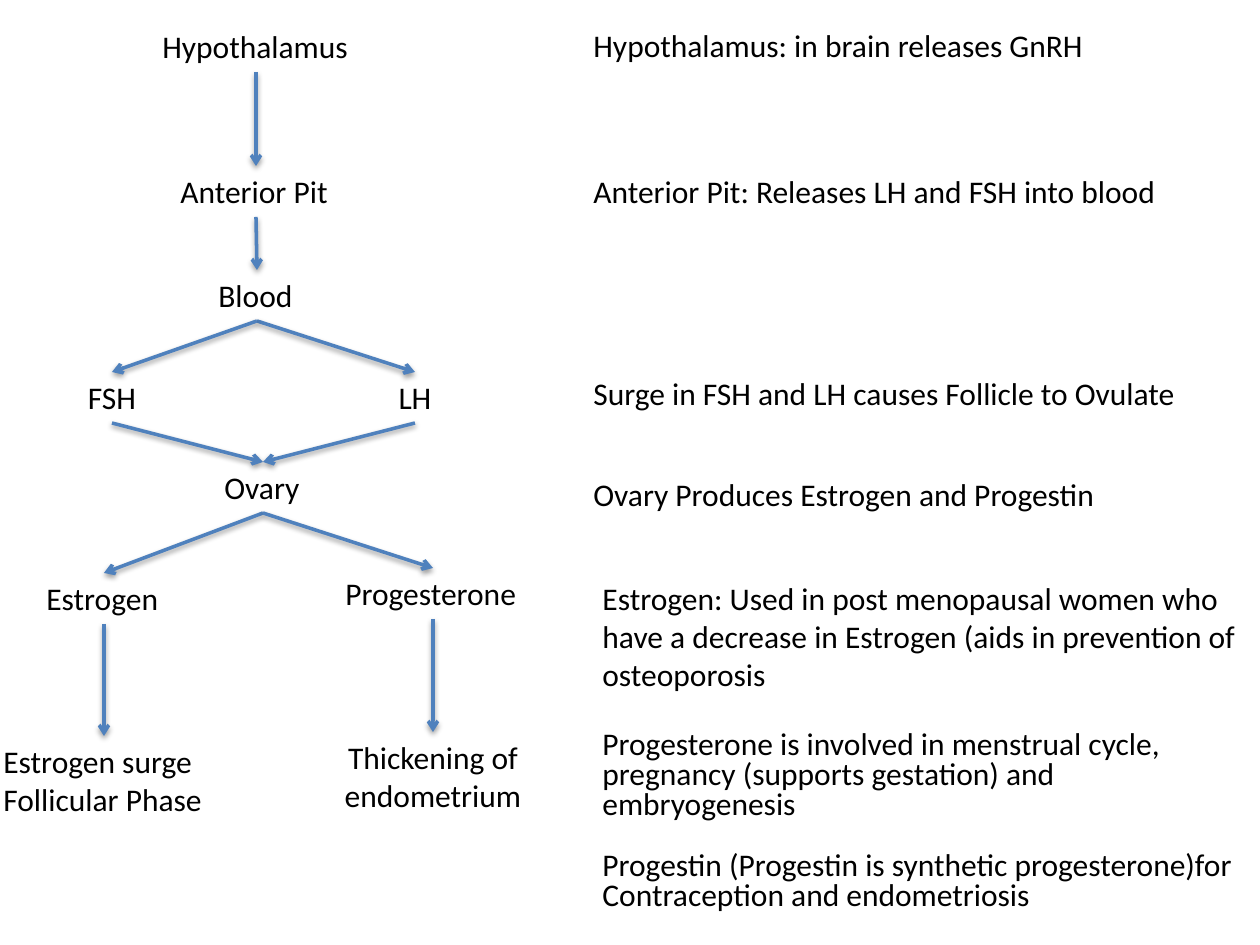
from dataclasses import dataclass

from lxml.etree import SubElement
from pptx import Presentation
from pptx.dml.color import RGBColor
from pptx.enum.shapes import MSO_CONNECTOR
from pptx.enum.text import MSO_AUTO_SIZE, PP_ALIGN
from pptx.oxml.ns import qn
from pptx.shapes.autoshape import Shape
from pptx.slide import Slide
from pptx.util import Emu, Pt

PX_PER_INCH = 126
COLOURS = {"text": "000000", "arrow": "4F81BD"}
BOTTOM, TOP = 2, 0
LINE_HEIGHT = 51


@dataclass(frozen=True)
class Label:
    text: str
    left: int
    top: int
    width: int
    height: int = LINE_HEIGHT
    centred: bool = False
    wrap: bool = False


STAGES = {
    "hypothalamus": Label("Hypothalamus", 150, 21, 212),
    "pituitary": Label("Anterior Pit", 168, 166, 176),
    "blood": Label("Blood", 206, 270, 102),
    "fsh": Label("FSH", 75, 372, 74, centred=True),
    "lh": Label("LH", 385, 372, 60, centred=True),
    "ovary": Label("Ovary", 212, 462, 102),
    "estrogen": Label("Estrogen", 34, 573, 140),
    "progesterone": Label("Progesterone", 333, 568, 200),
    "surge": Label("Estrogen surge\nFollicular Phase", -9, 736, 226, 90),
    "thickening": Label("Thickening of endometrium", 320, 732, 226, 90,
                        centred=True, wrap=True),
}

PATHWAY = [
    ("hypothalamus", "pituitary"),
    ("pituitary", "blood"),
    ("blood", "lh"),
    ("blood", "fsh"),
    ("fsh", "ovary"),
    ("lh", "ovary"),
    ("ovary", "estrogen"),
    ("ovary", "progesterone"),
    ("estrogen", "surge"),
    ("progesterone", "thickening"),
]

NOTES = [
    Label("Hypothalamus: in brain releases GnRH", 581, 20, 684, wrap=True),
    Label("Anterior Pit: Releases LH and FSH into blood", 581, 166, 595),
    Label("Surge in FSH and LH causes Follicle to Ovulate", 581, 368, 616),
    Label("Ovary Produces Estrogen and Progestin", 581, 469, 534),
]

HORMONE_USES = Label(
    "Estrogen: Used in post menopausal women who have a decrease in Estrogen "
    "(aids in prevention of osteoporosis\n"
    "Progesterone is involved in menstrual cycle, pregnancy (supports gestation) "
    "and embryogenesis\n"
    "Progestin (Progestin is synthetic progesterone)for Contraception and "
    "endometriosis",
    590, 573, 675, 387, wrap=True)


def px(length: int) -> Emu:
    return Emu(round(length * 914400 / PX_PER_INCH))


def add_label(slide: Slide, label: Label) -> Shape:
    box = slide.shapes.add_textbox(
        px(label.left), px(label.top), px(label.width), px(label.height))
    frame = box.text_frame
    frame.word_wrap = label.wrap
    frame.auto_size = MSO_AUTO_SIZE.SHAPE_TO_FIT_TEXT
    frame.text = label.text
    for paragraph in frame.paragraphs:
        if label.centred:
            paragraph.alignment = PP_ALIGN.CENTER
        for run in paragraph.runs:
            run.font.name = "Calibri"
            run.font.size = Pt(18)
            run.font.color.rgb = RGBColor.from_string(COLOURS["text"])
    return box


def add_arrow(slide: Slide, source: Shape, target: Shape) -> None:
    """Join two stages; the theme's soft shadow is kept on the arrow."""
    arrow = slide.shapes.add_connector(MSO_CONNECTOR.STRAIGHT, 0, 0, 0, 0)
    arrow.begin_connect(source, BOTTOM)
    arrow.end_connect(target, TOP)
    arrow.line.width = Pt(2)
    arrow.line.color.rgb = RGBColor.from_string(COLOURS["arrow"])
    SubElement(arrow.line._get_or_add_ln(), qn("a:tailEnd"), type="arrow")


def main() -> None:
    presentation = Presentation()
    presentation.slide_width = px(1260)
    presentation.slide_height = px(945)
    slide = presentation.slides.add_slide(presentation.slide_layouts[6])

    stages = {key: add_label(slide, label) for key, label in STAGES.items()}
    for source, target in PATHWAY:
        add_arrow(slide, stages[source], stages[target])

    for note in NOTES:
        add_label(slide, note)

    uses = add_label(slide, HORMONE_USES)
    for paragraph, gap in zip(uses.text_frame.paragraphs[1:], (22, 17.5)):
        paragraph.line_spacing = 0.8
        paragraph.space_before = Pt(gap)

    presentation.save("out.pptx")


if __name__ == "__main__":
    main()
